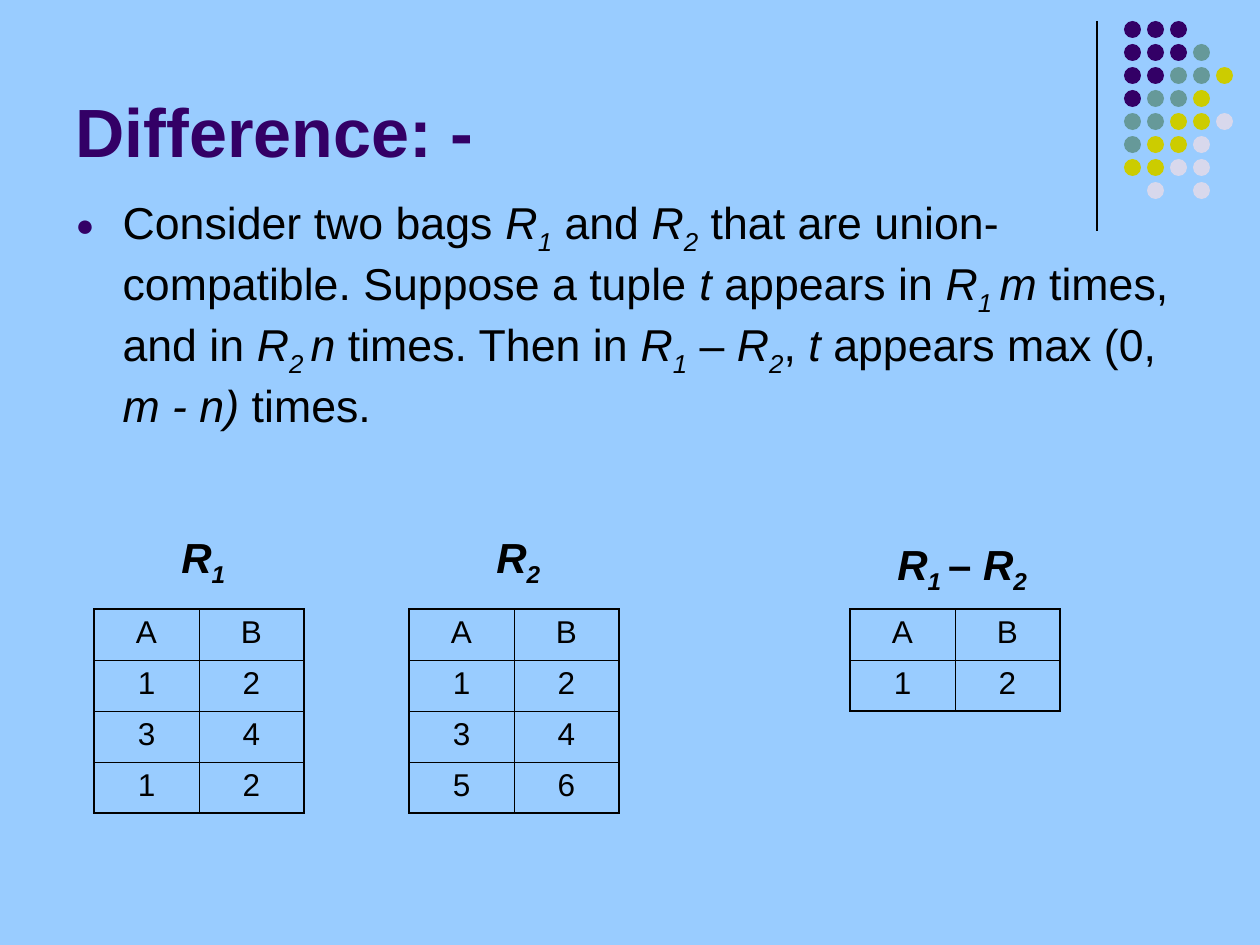
from lxml.etree import SubElement
from pptx import Presentation
from pptx.dml.color import RGBColor
from pptx.enum.shapes import MSO_CONNECTOR, MSO_SHAPE
from pptx.enum.text import MSO_ANCHOR, MSO_AUTO_SIZE, PP_ALIGN
from pptx.oxml import parse_xml
from pptx.oxml.ns import nsdecls, qn
from pptx.util import Emu, Pt

EMU_PER_PX = 914400 / 126
BLACK, PURPLE, BACKGROUND = "000000", "330066", "99CCFF"
DOT_COLORS = {"P": PURPLE, "T": "669999", "Y": "CCCC00", "L": "D8D8EC"}
DOT_ROWS = ["PPP", "PPPT", "PPTTY", "PTTY", "TTYYL", "TYYL", "YYLL", " L L"]

# Each run is (text, style): i = italic, b = bold, s = subscript.
BODY_RUNS = [
    ("Consider two bags ", ""), ("R", "i"), ("1", "is"), (" and ", ""),
    ("R", "i"), ("2", "is"),
    (" that are union-compatible. Suppose a tuple ", ""), ("t", "i"),
    (" appears in ", ""), ("R", "i"), ("1 ", "is"), ("m", "i"),
    (" times, and in ", ""), ("R", "i"), ("2 ", "is"), ("n", "i"),
    (" times. Then in ", ""), ("R", "i"), ("1", "is"), (" – ", ""),
    ("R", "i"), ("2", "is"), (", ", ""), ("t", "i"),
    (" appears max (0, ", ""), ("m - n)", "i"), (" times.", ""),
]
R1_LABEL = [("R", "bi"), ("1", "bis")]
R2_LABEL = [("R", "bi"), ("2", "bis")]
DIFFERENCE_LABEL = [("R", "bi"), ("1 ", "bis"), ("– ", "b"),
                    ("R", "bi"), ("2", "bis")]


def px(length):
    return Emu(round(length * EMU_PER_PX))


def color(hex_text):
    return RGBColor.from_string(hex_text)


def add_runs(para, runs, size, hex_text=BLACK):
    for text, style in runs:
        span = para.add_run()
        span.text = text
        font = span.font
        font.name, font.size = "Arial", Pt(size)
        font.color.rgb = color(hex_text)
        font.bold, font.italic = "b" in style, "i" in style
        if "s" in style:
            span._r.get_or_add_rPr().set("baseline", "-25000")


def place(shape, left, top, width, height):
    shape.left, shape.top = px(left), px(top)
    shape.width, shape.height = px(width), px(height)


def add_title(page, left, top, width, height):
    title = page.shapes.title
    place(title, left, top, width, height)
    frame = title.text_frame
    frame.auto_size = MSO_AUTO_SIZE.NONE
    frame.vertical_anchor = MSO_ANCHOR.BOTTOM
    para = frame.paragraphs[0]
    para.alignment = PP_ALIGN.LEFT
    add_runs(para, [("Difference: -", "b")], 39, PURPLE)


def add_body(page, left, top, width, height):
    body = page.placeholders[1]
    place(body, left, top, width, height)
    frame = body.text_frame
    frame.auto_size = MSO_AUTO_SIZE.NONE
    para = frame.paragraphs[0]
    para.space_before = Pt(0)
    properties = para._p.get_or_add_pPr()
    properties.set("marL", str(px(47)))
    properties.set("indent", str(-px(47)))
    bullet_color = SubElement(properties, qn("a:buClr"))
    SubElement(bullet_color, qn("a:srgbClr"), val=PURPLE)
    SubElement(properties, qn("a:buSzPct"), val="70000")
    SubElement(properties, qn("a:buFont"), typeface="Arial")
    SubElement(properties, qn("a:buChar"), char="●")
    add_runs(para, BODY_RUNS, 25.5)


def add_dot_ornament(page, left, top, line_height):
    line = page.shapes.add_connector(MSO_CONNECTOR.STRAIGHT, px(left), px(top),
                                     px(left), px(top + line_height))
    line.line.color.rgb = color(BLACK)
    line.line.width = Pt(0.75)
    SubElement(line._element.spPr, qn("a:effectLst"))
    diameter, pitch, gap = 17, 23, 27
    for row, letters in enumerate(DOT_ROWS):
        for column, letter in enumerate(letters):
            if letter == " ":
                continue
            dot = page.shapes.add_shape(
                MSO_SHAPE.OVAL, px(left + gap + column * pitch),
                px(top + row * pitch), px(diameter), px(diameter))
            dot.shadow.inherit = False
            dot.fill.solid()
            dot.fill.fore_color.rgb = color(DOT_COLORS[letter])
            dot.line.fill.background()


def set_borders(cell, outer_sides):
    """Draw all four borders, thicker on the outer sides of the table."""
    properties = cell._tc.get_or_add_tcPr()
    for side in "LRTB":
        width = Pt(1.08 if side in outer_sides else 0.45)
        properties.append(parse_xml(
            f'<a:ln{side} {nsdecls("a")} w="{width}"><a:solidFill>'
            f'<a:srgbClr val="{BLACK}"/></a:solidFill></a:ln{side}>'))


def add_relation(page, left, top, rows, label, label_box):
    """Add a table with its name; label_box is relative to the table."""
    column_width, row_height = 105, 51
    table = page.shapes.add_table(
        len(rows), 2, px(left), px(top),
        px(2 * column_width), px(len(rows) * row_height)).table
    table.first_row = table.horz_banding = False
    for r, values in enumerate(rows):
        table.rows[r].height = px(row_height)
        for c, value in enumerate(values):
            cell = table.cell(r, c)
            outer_sides = "LR"[c]
            outer_sides += "T" if r == 0 else ""
            outer_sides += "B" if r == len(rows) - 1 else ""
            set_borders(cell, outer_sides)
            cell.fill.background()
            para = cell.text_frame.paragraphs[0]
            para.alignment = PP_ALIGN.CENTER
            add_runs(para, [(value, "")], 18)

    x, y, width, height = label_box
    box = page.shapes.add_textbox(px(left + x), px(top + y),
                                  px(width), px(height))
    box.text_frame.word_wrap = False
    box.text_frame.auto_size = MSO_AUTO_SIZE.SHAPE_TO_FIT_TEXT
    add_runs(box.text_frame.paragraphs[0], label, 24)


def main():
    deck = Presentation()
    deck.slide_width, deck.slide_height = px(1260), px(945)
    page = deck.slides.add_slide(deck.slide_layouts[1])
    page.background.fill.solid()
    page.background.fill.fore_color.rgb = color(BACKGROUND)

    add_dot_ornament(page, 1097, 21, 210)
    add_title(page, 63, 16, 1040, 161)
    add_body(page, 63, 189, 1134, 267)
    add_relation(page, 94, 609, ["AB", "12", "34", "12"],
                 R1_LABEL, (75, -84, 69, 71))
    add_relation(page, 409, 609, ["AB", "12", "34", "56"],
                 R2_LABEL, (75, -84, 69, 71))
    add_relation(page, 850, 609, ["AB", "12"],
                 DIFFERENCE_LABEL, (35, -77, 155, 71))
    deck.save("out.pptx")


if __name__ == "__main__":
    main()
